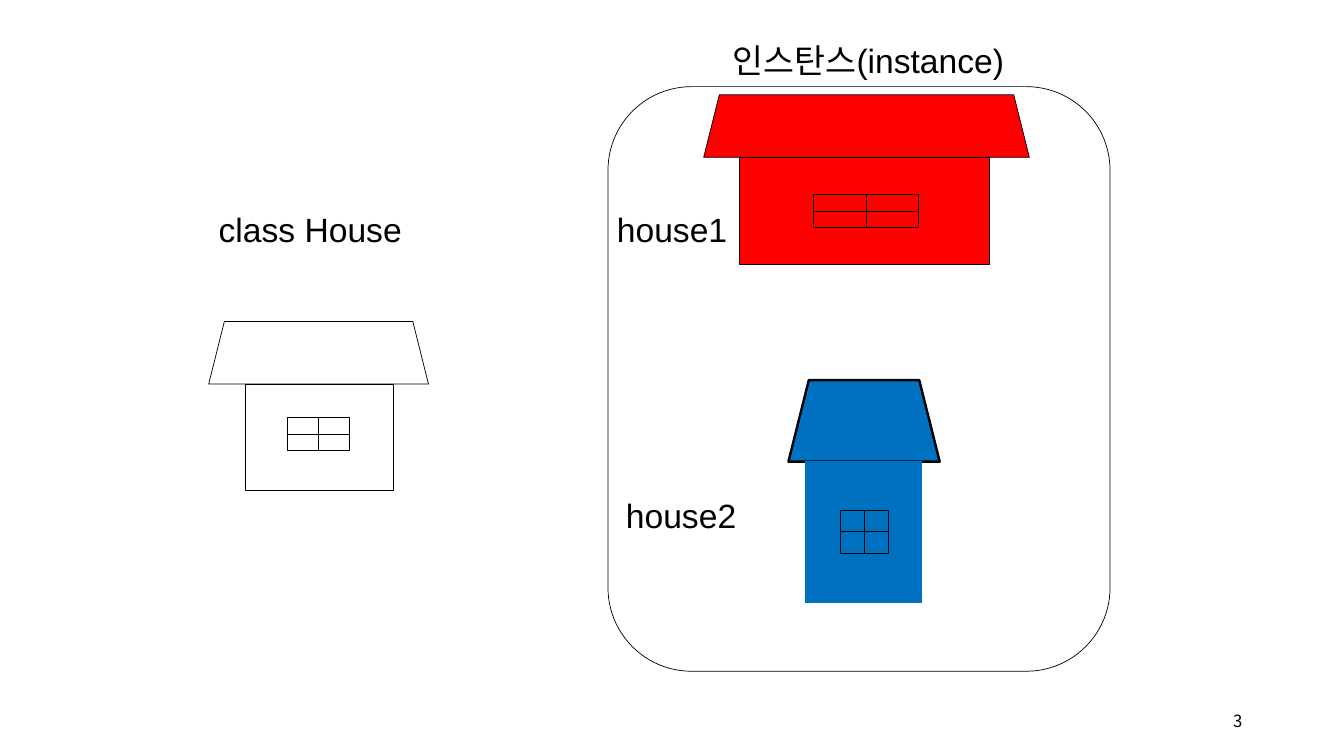
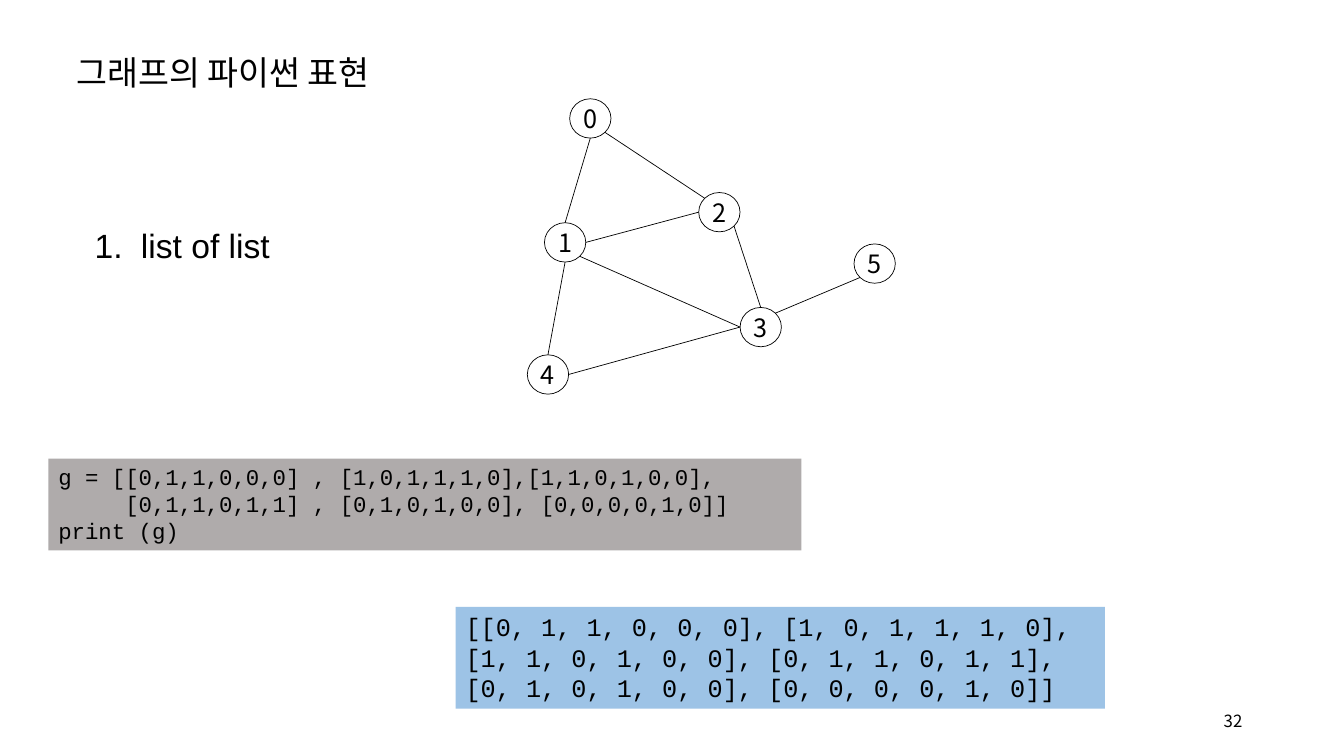
"""Build two slides: classes with instances, and a graph as a list of lists."""
from math import cos, pi, sin
from lxml.etree import SubElement as Sub
from pptx import Presentation
from pptx.dml.color import RGBColor
from pptx.enum.shapes import MSO_CONNECTOR as Link, MSO_SHAPE as Kind
from pptx.enum.text import MSO_ANCHOR as Anchor, MSO_AUTO_SIZE as Auto, PP_ALIGN as Align
from pptx.oxml.ns import qn
from pptx.util import Inches, Pt

COLOR = {"ink": "000000", "red": "FF0000", "blue": "0070C0",
         "gray": "AFABAB", "sky": "9DC3E6"}
SANS, CODE, NOTO = "Arial", "Courier New", "Noto Sans CJK KR"
THIN = 0.5

LABELS = [
    ("class House", (2.07, 1.82, 2.04, 0.63)),
    ("인스탄스(instance)", (7.17, 0.15, 3.03, 0.71)),
    ("house1", (6.02, 1.82, 1.31, 0.63)),
    ("house2", (6.11, 4.66, 1.31, 0.63)),
]
FRAME = (6.03, 0.86, 4.98, 5.8)
HOUSES = [
    {"roof": (2.07, 3.19, 2.18, 0.62), "body": (2.43, 3.81, 1.47, 1.06),
     "pane": (2.85, 4.14, 0.62, 0.33)},
    {"roof": (6.98, 0.94, 3.23, 0.62), "body": (7.33, 1.56, 2.48, 1.06),
     "pane": (8.07, 1.93, 1.04, 0.33), "fill": "red"},
    {"roof": (7.82, 3.77, 1.5, 0.81), "body": (7.99, 4.58, 1.15, 1.4),
     "pane": (8.33, 5.06, 0.48, 0.43), "fill": "blue", "edge": "blue", "wide": 1.75},
]

TITLE = ("그래프의 파이썬 표현", (0.66, 0.27, 3.42, 0.71))
TOPIC = ("list of list", (0.84, 1.98, 1.96, 0.71))
NODES = [(5.65, 0.98), (5.4, 2.21), (6.93, 1.91), (7.34, 3.05), (5.23, 3.52), (8.47, 2.42)]
NODE_W, NODE_H = 0.41, 0.39
SITES = ["top", "top left", "left", "bottom left",
         "bottom", "bottom right", "right", "top right"]
EDGES = [
    (0, "bottom", 1, "top"), (0, "bottom right", 2, "top left"),
    (1, "right", 2, "left"), (2, "bottom right", 3, "top"),
    (5, "bottom left", 3, "top right"), (4, "top", 1, "bottom"),
    (1, "bottom right", 3, "left"), (3, "left", 4, "right"),
]
SOURCE = """g = [[0,1,1,0,0,0] , [1,0,1,1,1,0],[1,1,0,1,0,0],
     [0,1,1,0,1,1] , [0,1,0,1,0,0], [0,0,0,0,1,0]]
print (g)"""
RESULT = ("[[0, 1, 1, 0, 0, 0], [1, 0, 1, 1, 1, 0], [1, 1, 0, 1, 0, 0], "
          "[0, 1, 1, 0, 1, 1], [0, 1, 0, 1, 0, 0], [0, 0, 0, 0, 1, 0]]")
PANELS = [
    (SOURCE, (0.48, 4.55, 7.47, 0.91), "gray", 16),
    (RESULT, (4.52, 6.02, 6.44, 1.01), "sky", 18),
]


def rgb(name):
    return RGBColor.from_string(COLOR[name])


def inch(box):
    return [Inches(v) for v in box]


def write(shape, text, size, face, align=Align.LEFT, lead=1.0):
    frame = shape.text_frame
    frame.text = text
    for para in frame.paragraphs:
        para.alignment, para.line_spacing = align, lead
        for run in para.runs:
            font = run.font
            font.size, font.name = Pt(size), face
            font.color.rgb = rgb("ink")
            Sub(font._element, qn("a:ea")).set("typeface", NOTO)
    return frame


def draw(slide, kind, box, fill=None, edge="ink", wide=THIN):
    shape = slide.shapes.add_shape(kind, *inch(box))
    shape.shadow.inherit = False
    if fill:
        shape.fill.solid()
        shape.fill.fore_color.rgb = rgb(fill)
    else:
        shape.fill.background()
    if edge:
        shape.line.color.rgb = rgb(edge)
        shape.line.width = Pt(wide)
    else:
        shape.line.fill.background()
    return shape


def join(slide, start=(0, 0), end=(0, 0)):
    line = slide.shapes.add_connector(Link.STRAIGHT, *inch((*start, *end)))
    line.line.color.rgb = rgb("ink")
    line.line.width = Pt(THIN)
    Sub(line._element.spPr, qn("a:effectLst"))
    return line


def label(slide, text, box):
    shape = slide.shapes.add_textbox(*inch(box))
    frame = write(shape, text, 24, SANS, lead=1.5)
    frame.word_wrap, frame.auto_size = False, Auto.SHAPE_TO_FIT_TEXT
    return frame


def house(slide, roof, body, pane, fill=None, edge="ink", wide=THIN):
    draw(slide, Kind.TRAPEZOID, roof, fill, wide=wide)
    draw(slide, Kind.RECTANGLE, body, fill, edge)
    glass = draw(slide, Kind.RECTANGLE, pane)
    for first, last in ((1, 3), (0, 2)):
        bar = join(slide)
        bar.begin_connect(glass, first)
        bar.end_connect(glass, last)


def spot(node, site):
    turn = SITES.index(site) * pi / 4
    x, y = NODES[node]
    return (x + NODE_W / 2 * (1 - sin(turn)), y + NODE_H / 2 * (1 - cos(turn)))


def graph(slide):
    rings = []
    for num, (x, y) in enumerate(NODES):
        ring = draw(slide, Kind.OVAL, (x, y, NODE_W, NODE_H))
        frame = write(ring, str(num), 18, NOTO, Align.CENTER)
        frame.vertical_anchor = Anchor.MIDDLE
        frame.margin_left = frame.margin_right = 0
        frame.margin_top = frame.margin_bottom = 0
        rings.append(ring)
    for one, out, two, into in EDGES:
        line = join(slide, spot(one, out), spot(two, into))
        props = line._element.find(".//" + qn("p:cNvCxnSpPr"))
        for tag, node, site in (("a:stCxn", one, out), ("a:endCxn", two, into)):
            Sub(props, qn(tag), id=str(rings[node].shape_id), idx=str(SITES.index(site)))


def number(para):
    props = para._p.get_or_add_pPr()
    props.set("marL", str(Inches(0.46)))
    props.set("indent", str(-Inches(0.46)))
    Sub(props, qn("a:buFont")).set("typeface", SANS)
    Sub(props, qn("a:buAutoNum")).set("type", "arabicPeriod")


def page(deck, num):
    slide = deck.slides.add_slide(deck.slide_layouts[6])
    foot = slide.shapes.add_textbox(*inch((11.87, 6.95, 0.55, 0.4)))
    frame = write(foot, str(num), 12, NOTO, Align.RIGHT)
    frame.word_wrap, frame.vertical_anchor = True, Anchor.MIDDLE
    return slide


def main():
    deck = Presentation()
    deck.slide_width, deck.slide_height = Inches(13.33), Inches(7.5)

    slide = page(deck, 3)
    draw(slide, Kind.ROUNDED_RECTANGLE, FRAME)
    for parts in HOUSES:
        house(slide, **parts)
    for text, box in LABELS:
        label(slide, text, box)

    slide = page(deck, 32)
    label(slide, *TITLE)
    number(label(slide, *TOPIC).paragraphs[0])
    graph(slide)
    for text, box, fill, size in PANELS:
        panel = draw(slide, Kind.RECTANGLE, box, fill, None)
        frame = write(panel, text, size, CODE)
        frame.word_wrap, frame.vertical_anchor = True, Anchor.TOP
    deck.save("out.pptx")


if __name__ == "__main__":
    main()
